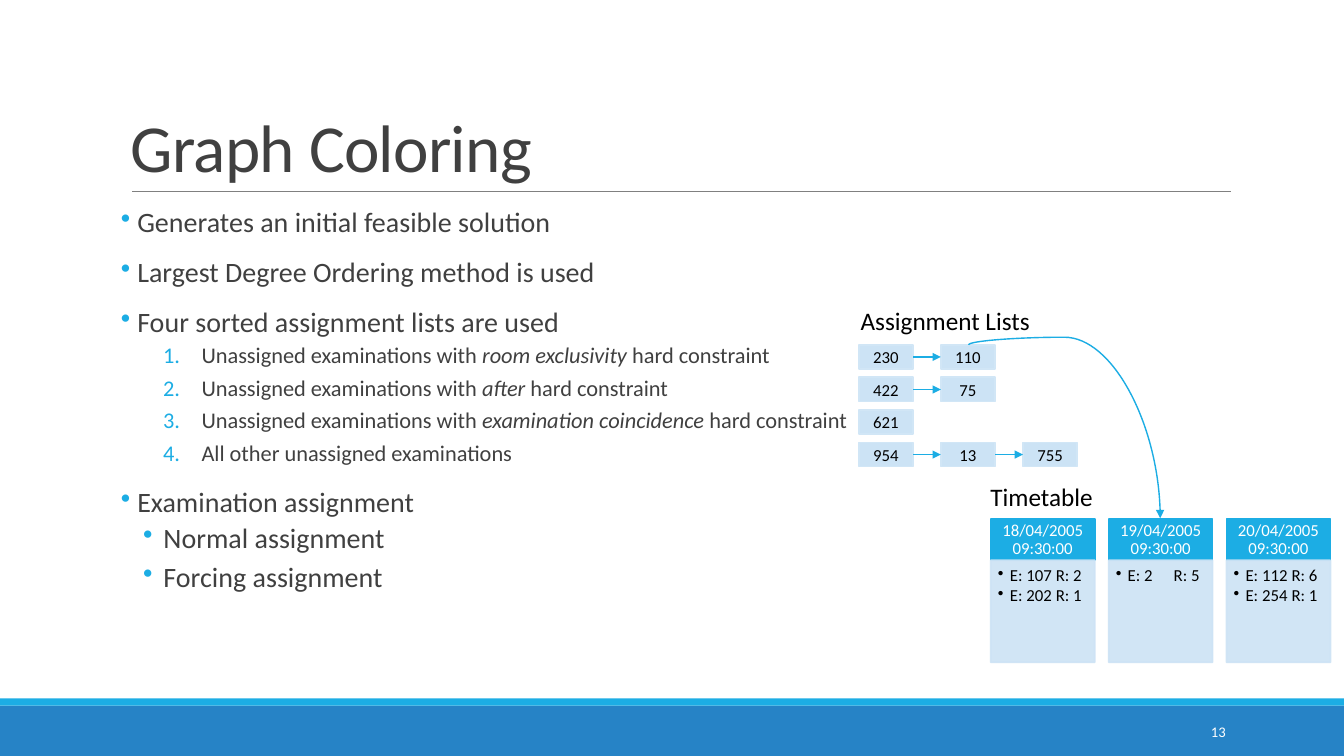
from lxml import etree
from pptx import Presentation
from pptx.dml.color import RGBColor
from pptx.enum.shapes import MSO_CONNECTOR, MSO_SHAPE
from pptx.enum.text import MSO_ANCHOR, PP_ALIGN
from pptx.oxml.ns import qn
from pptx.util import Cm, Pt

STRAIGHT, CURVE = MSO_CONNECTOR.STRAIGHT, MSO_CONNECTOR.CURVE
RECTANGLE = MSO_SHAPE.RECTANGLE
TOP, MIDDLE, BOTTOM = MSO_ANCHOR.TOP, MSO_ANCHOR.MIDDLE, MSO_ANCHOR.BOTTOM
LEFT, CENTER, RIGHT = PP_ALIGN.LEFT, PP_ALIGN.CENTER, PP_ALIGN.RIGHT

COLORS = {"accent": "1CADE4", "footer": "2683C6", "rule": "808080",
          "text": "404040", "black": "000000", "white": "FFFFFF",
          "node": "CCE3F5", "node_line": "D1E6F6", "slot": "CDE3F5"}
INSETS = (0.25, 0.13, 0.25, 0.13)


def add_xml(parent, tag, **attributes):
    return etree.SubElement(parent, qn(tag), attributes)


class SlideBuilder:
    """Holds the style and the current slide."""

    def __init__(self, deck, font):
        self.slide = deck.slides.add_slide(deck.slide_layouts[6])
        self.font = font

    def color(self, name):
        return RGBColor.from_string(COLORS[name])

    def box(self, left, top, width, height, fill, line=None, opacity=None):
        box = self.slide.shapes.add_shape(
            RECTANGLE, Cm(left), Cm(top), Cm(width), Cm(height))
        box.shadow.inherit = False
        box.fill.solid()
        box.fill.fore_color.rgb = self.color(fill)
        if line:
            box.line.color.rgb = self.color(line)
            box.line.width = Pt(1.25)
        else:
            box.line.fill.background()
        if opacity:
            for paint in box._element.spPr.iter(qn("a:srgbClr")):
                add_xml(paint, "a:alpha", val=str(opacity * 1000))
        return box

    def label(self, left, top, width, height, paras, **style):
        box = self.slide.shapes.add_textbox(
            Cm(left), Cm(top), Cm(width), Cm(height))
        self.set_text(box, paras, **style)
        return box

    def set_text(self, box, paras, size=12, color="black", anchor=TOP,
                 insets=INSETS, **shared):
        """Each para is a list of (text, italic) spans and a format dict."""
        frame = box.text_frame
        sides = ("margin_left", "margin_top", "margin_right", "margin_bottom")
        settings = {"word_wrap": True, "vertical_anchor": anchor}
        settings.update(zip(sides, map(Cm, insets)))
        for name, value in settings.items():
            setattr(frame, name, value)
        for index, (spans, own) in enumerate(paras):
            para = frame.add_paragraph() if index else frame.paragraphs[0]
            formats = {"alignment": LEFT, **shared, **own}
            para_size = formats.pop("size", size)
            bullet = formats.pop("bullet", None)
            for name, value in formats.items():
                setattr(para, name, value)
            if bullet:
                self.bullet(para, **bullet)
            for text, italic in spans:
                span = para.add_run()
                span.text = text
                font = {"name": self.font, "size": Pt(para_size),
                        "italic": italic}
                for name, value in font.items():
                    setattr(span.font, name, value)
                span.font.color.rgb = self.color(color)

    def bullet(self, para, margin, hanging, color, numbered=False, tab=None):
        props = para._p.get_or_add_pPr()
        props.set("marL", str(Cm(margin)))
        props.set("indent", str(-Cm(hanging)))
        paint = add_xml(props, "a:buClr")
        add_xml(paint, "a:srgbClr", val=COLORS[color])
        if numbered:
            add_xml(props, "a:buAutoNum", type="arabicPeriod")
        else:
            add_xml(props, "a:buChar", char="•")
        if tab:
            stops = add_xml(props, "a:tabLst")
            add_xml(stops, "a:tab", pos=str(Cm(tab)), algn="l")

    def line(self, start, end, color, width, arrow=False, kind=STRAIGHT):
        line = self.slide.shapes.add_connector(
            kind, *(Cm(value) for value in (*start, *end)))
        line.line.color.rgb = self.color(color)
        line.line.width = Pt(width)
        if arrow:
            outline = line._element.spPr.find(qn("a:ln"))
            add_xml(outline, "a:tailEnd", type="triangle")
        add_xml(line._element.spPr, "a:effectLst")
        return line


def plain(text, **formats):
    return [(text, False)], formats


deck = Presentation()
deck.slide_width, deck.slide_height = Cm(33.87), Cm(19.05)
page = SlideBuilder(deck, "Calibri")

# Footer bands, title rule and slide number
page.box(0, 17.78, 33.87, 1.27, "footer")
page.box(0, 17.6, 33.87, 0.18, "accent")
page.line((3.33, 4.83), (31.01, 4.83), "rule", 0.5)
page.label(27.51, 17.93, 3.63, 1.02, [plain("13")], size=10.5, color="white",
           anchor=MIDDLE, alignment=RIGHT)

# Title
title = page.label(3.05, 0.79, 27.94, 4.04, [plain("Graph Coloring")], size=48,
                   color="text", anchor=BOTTOM, line_spacing=0.85)
title.text_frame.paragraphs[0].runs[0].font._element.set("spc", "-50")

# Bulleted text
MAIN = {"size": 20, "space_before": Pt(12), "space_after": Pt(2),
        "bullet": {"margin": 0.25, "hanging": 0.25, "color": "accent"}}
SUB = {"size": 20, "space_before": Pt(2), "space_after": Pt(4),
       "bullet": {"margin": 1.07, "hanging": 0.51, "color": "accent"}}
STEP = {**SUB, "size": 16, "bullet": {"margin": 2.03, "hanging": 0.97,
                                      "color": "accent", "numbered": True}}
constraints = ["room exclusivity", "after", "examination coincidence"]
body = [plain(" Generates an initial feasible solution", **MAIN),
        plain(" Largest Degree Ordering method is used", **MAIN),
        plain(" Four sorted assignment lists are used", **MAIN)]
body += [([("Unassigned examinations with ", False), (name, True),
           (" hard constraint", False)], STEP) for name in constraints]
body += [plain("All other unassigned examinations", **STEP),
         plain(" Examination assignment", **MAIN),
         plain("Normal assignment", **SUB),
         plain("Forcing assignment", **SUB)]
page.label(3.05, 5.13, 27.94, 11.18, body, color="text",
           insets=(0, 0.13, 0, 0.13), line_spacing=0.9)

# Assignment lists: one row of linked nodes per list
NODE_LEFT, NODE_TOP, NODE_WIDTH, NODE_HEIGHT = 21.64, 8.69, 1.37, 0.61
COLUMN_STEP, ROW_STEP = 2.07, 0.82
lists = [["230", "110"], ["422", "75"], ["621"], ["954", "13", "755"]]
page.label(21.44, 7.57, 4.78, 1.02, [plain("Assignment Lists")], size=18)
for row, exams in enumerate(lists):
    top = NODE_TOP + row * ROW_STEP
    middle = top + NODE_HEIGHT / 2
    for column, exam in enumerate(exams):
        left = NODE_LEFT + column * COLUMN_STEP
        node = page.box(left, top, NODE_WIDTH, NODE_HEIGHT, "node", "node_line")
        page.set_text(node, [plain(exam)], anchor=MIDDLE, alignment=CENTER)
        if column:
            page.line((left - COLUMN_STEP + NODE_WIDTH, middle), (left, middle),
                      "accent", 1, arrow=True)

# Timetable: a dated header above each slot
SLOT_LEFT, SLOT_TOP, SLOT_WIDTH, SLOT_STEP = 24.97, 13.08, 2.62, 2.97
HEADER_HEIGHT, SLOT_HEIGHT = 1.04, 2.57
ENTRY = {"space_after": Pt(1), "bullet": {"margin": 0.3, "hanging": 0.3,
                                          "color": "black", "tab": 1.46}}
slots = [("18/04/2005", ["E: 107\tR: 2", "E: 202\tR: 1"]),
         ("19/04/2005", ["E: 2\tR: 5"]),
         ("20/04/2005", ["E: 112\tR: 6", "E: 254\tR: 1"])]
page.label(24.71, 11.99, 4.78, 1.02, [plain("Timetable")], size=18)
for index, (date, entries) in enumerate(slots):
    left = SLOT_LEFT + index * SLOT_STEP
    header = page.box(left, SLOT_TOP, SLOT_WIDTH, HEADER_HEIGHT,
                      "accent", "accent")
    page.set_text(header, [plain(date + " 09:30:00")], color="white",
                  anchor=MIDDLE, insets=(0.23, 0.13, 0.23, 0.13),
                  alignment=CENTER, line_spacing=0.9)
    slot = page.box(left, SLOT_TOP + HEADER_HEIGHT, SLOT_WIDTH, SLOT_HEIGHT,
                    "slot", "slot", opacity=90)
    page.set_text(slot, [plain(entry, **ENTRY) for entry in entries],
                  insets=(0.18, 0.18, 0.23, 0.25), line_spacing=0.9)

# Curved arrow from exam 110 to the second slot, turned to leave upwards
curve = page.line((24.64, 8.46), (29.01, 13.29), "accent", 1, True, CURVE)
frame = curve._element.spPr.find(qn("a:xfrm"))
frame.set("rot", "16200000")
frame.set("flipH", "1")
guides = curve._element.spPr.find(qn("a:prstGeom")).get_or_add_avLst()
add_xml(guides, "a:gd", name="adj1", fmla="val -4400")

deck.save("out.pptx")
